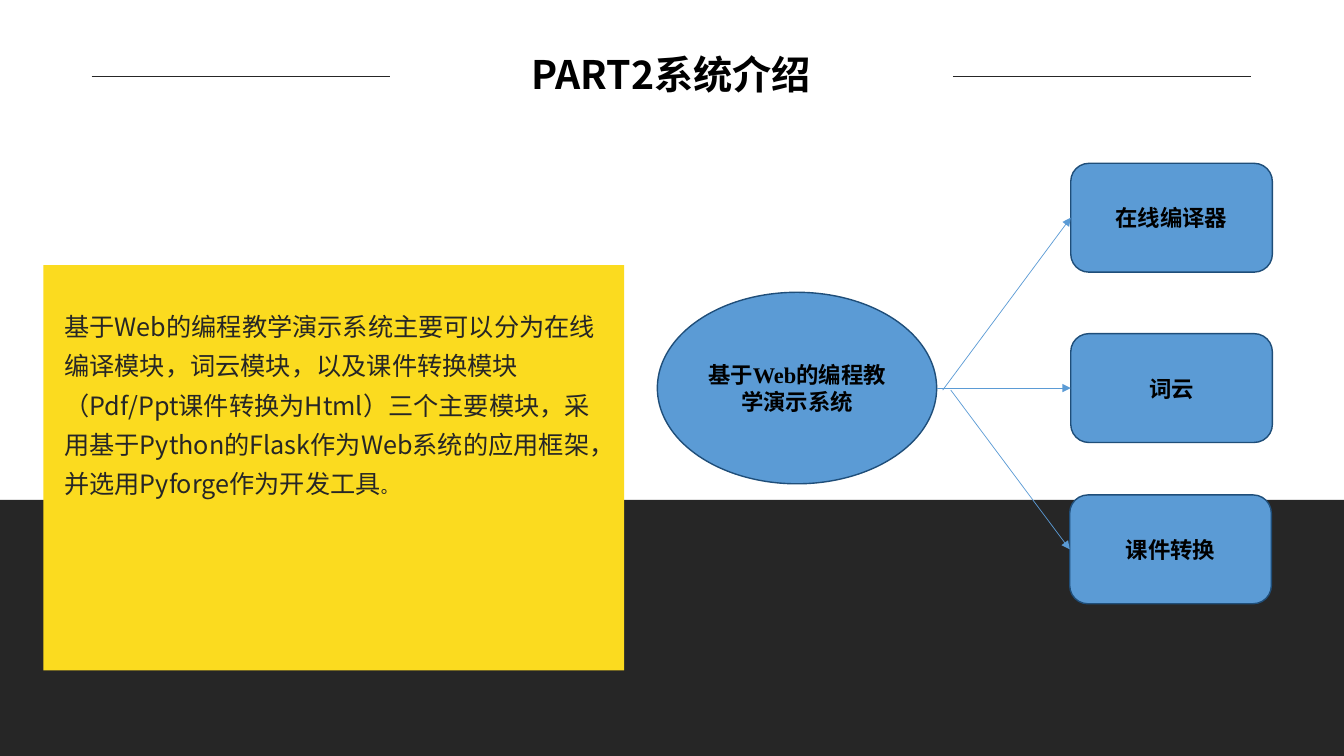
from lxml import etree
from pptx import Presentation
from pptx.dml.color import RGBColor
from pptx.enum.dml import MSO_LINE
from pptx.enum.shapes import MSO_CONNECTOR, MSO_SHAPE
from pptx.enum.text import MSO_ANCHOR, MSO_AUTO_SIZE, PP_ALIGN
from pptx.oxml.ns import qn
from pptx.util import Inches, Pt

RECTANGLE = MSO_SHAPE.RECTANGLE
ELLIPSE = MSO_SHAPE.OVAL
ROUNDED = MSO_SHAPE.ROUNDED_RECTANGLE
STRAIGHT = MSO_CONNECTOR.STRAIGHT
SOLID = MSO_LINE.SOLID
MIDDLE, TOP = MSO_ANCHOR.MIDDLE, MSO_ANCHOR.TOP
CENTER, LEFT = PP_ALIGN.CENTER, PP_ALIGN.LEFT
NO_AUTOFIT = MSO_AUTO_SIZE.NONE

BLACK = RGBColor(0x00, 0x00, 0x00)
DARK = RGBColor(0x26, 0x26, 0x26)
YELLOW = RGBColor(0xFB, 0xDB, 0x1F)
BLUE = RGBColor(0x5B, 0x9B, 0xD5)
NAVY = RGBColor(0x1F, 0x4E, 0x79)


class SlideBuilder:
    """Holds the fonts and the current slide."""

    sans = "Noto Sans CJK SC"
    serif = "Times New Roman"

    def __init__(self, page):
        self.page = page

    def fill_text(self, shape, spans, font, color, bold=False, align=LEFT,
                  anchor=TOP, spacing=1.0):
        """Fill a shape with one paragraph of (text, size) spans."""
        frame = shape.text_frame
        frame.word_wrap = True
        frame.auto_size = NO_AUTOFIT
        frame.vertical_anchor = anchor
        para = frame.paragraphs[0]
        para.alignment = align
        para.line_spacing = spacing
        para.space_before = Pt(0)
        for text, size in spans:
            span = para.add_run()
            span.text = text
            span.font.name = font
            span.font.size = Pt(size)
            span.font.bold = bold
            span.font.color.rgb = color
            east_asian = etree.SubElement(span.font._element, qn("a:ea"))
            east_asian.set("typeface", self.sans)

    def title(self, text, left, top, width, height):
        title = self.page.shapes.title
        title.left, title.top = Inches(left), Inches(top)
        title.width, title.height = Inches(width), Inches(height)
        self.fill_text(title, [(text, 28)], self.sans, BLACK, True, CENTER,
                       MIDDLE, 0.9)

    def shape(self, kind, left, top, width, height, fill, outline=None):
        shape = self.page.shapes.add_shape(
            kind, Inches(left), Inches(top), Inches(width), Inches(height))
        shape.shadow.inherit = False
        shape.fill.solid()
        shape.fill.fore_color.rgb = fill
        if outline is None:
            shape.line.fill.background()
        else:
            shape.line.color.rgb = outline
            shape.line.width = Pt(1)
        return shape

    def node(self, kind, text, left, top, width, height):
        node = self.shape(kind, left, top, width, height, BLUE, NAVY)
        self.fill_text(node, [(text, 16)], self.serif, BLACK, True, CENTER,
                       MIDDLE)

    def text(self, spans, left, top, width, height):
        box = self.page.shapes.add_textbox(
            Inches(left), Inches(top), Inches(width), Inches(height))
        self.fill_text(box, spans, self.sans, DARK, spacing=1.3)

    def line(self, start, end, color, arrow=False):
        line = self.page.shapes.add_connector(
            STRAIGHT, *(Inches(value) for value in (*start, *end)))
        line.line.color.rgb = color
        line.line.width = Pt(0.5)
        line.line.dash_style = SOLID
        if arrow:
            outline = line.line._get_or_add_ln()
            etree.SubElement(outline, qn("a:tailEnd")).set("type", "triangle")
        etree.SubElement(line._element.spPr, qn("a:effectLst"))


def main():
    deck = Presentation()
    deck.slide_width, deck.slide_height = Inches(13.33), Inches(7.5)
    page = deck.slides.add_slide(deck.slide_layouts[5])
    builder = SlideBuilder(page)

    # Dark band and title with a rule on each side
    builder.shape(RECTANGLE, 0, 4.96, 13.33, 2.54, DARK)
    for left in (0.91, 9.45):
        builder.line((left, 0.76), (left + 2.96, 0.76), DARK)
    builder.title("PART2系统介绍", 4.19, 0.29, 4.94, 0.94)

    # Introduction on the yellow panel
    builder.shape(RECTANGLE, 0.43, 2.63, 5.76, 4.02, YELLOW)
    introduction = (
        "基于Web的编程教学演示系统主要可以分为在线编译模块，词云模块，"
        "以及课件转换模块（Pdf/Ppt课件转换为Html）三个主要模块，"
        "采用基于Python的Flask作为Web系统的应用框架，"
        "并选用Pyforge作为开发工具")
    builder.text([(introduction, 18), ("。", 12)], 0.54, 2.95, 5.56, 2.03)

    # System and its three modules, each joined by an arrow
    builder.node(ELLIPSE, "基于Web的编程教学演示系统", 6.52, 2.9, 2.77, 1.9)
    modules = [
        ("在线编译器", 10.62, 1.62, (9.35, 3.87)),
        ("词云", 10.62, 3.31, (9.29, 3.85)),
        ("课件转换", 10.61, 4.91, (9.43, 3.87)),
    ]
    height = 1.08
    for name, left, top, start in modules:
        builder.node(ROUNDED, name, left, top, 2, height)
        builder.line(start, (left, top + height / 2), BLUE, arrow=True)

    deck.save("out.pptx")


if __name__ == "__main__":
    main()
